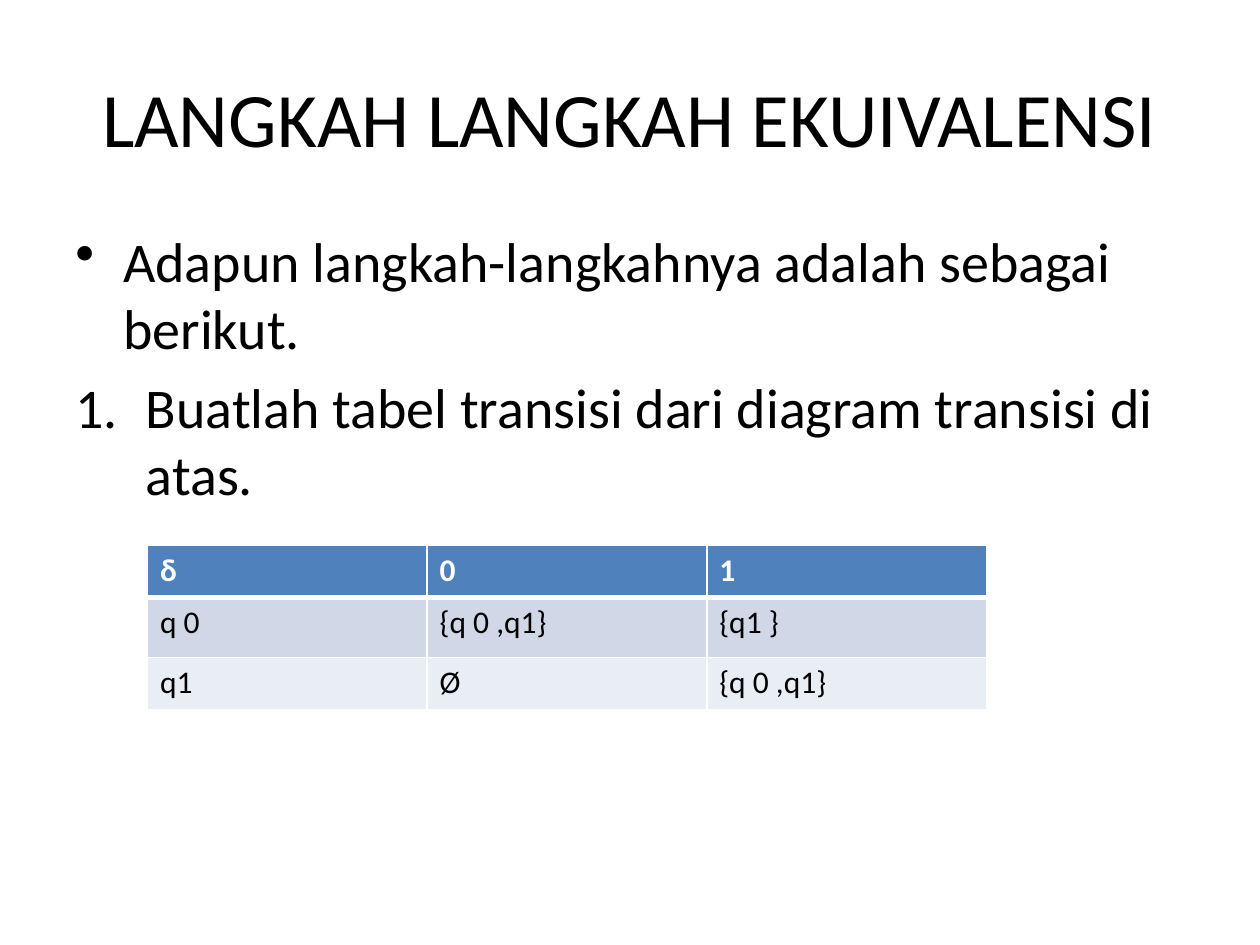
import pptx
import pptx.dml.color
import pptx.enum.text
import pptx.oxml
import pptx.oxml.ns
import pptx.util
from pptx.util import Inches

RGBColor = pptx.dml.color.RGBColor
Anchor = pptx.enum.text.MSO_ANCHOR
Align = pptx.enum.text.PP_ALIGN

BLACK = RGBColor(0x00, 0x00, 0x00)
WHITE = RGBColor(0xFF, 0xFF, 0xFF)
HEADER_BLUE = RGBColor(0x4F, 0x81, 0xBD)
BAND_COLORS = (RGBColor(0xD0, 0xD8, 0xE8), RGBColor(0xE9, 0xED, 0xF4))

FONT = "Calibri"
BULLET = '<a:buChar {ns} char="•"/>'
NUMBER = '<a:buAutoNum {ns} type="arabicPeriod"/>'
NAMESPACE = pptx.oxml.ns.nsdecls("a")

TRANSITIONS = (
    ("δ", "0", "1"),
    ("q 0", "{q 0 ,q1}", "{q1 }"),
    ("q1", "Ø", "{q 0 ,q1}"),
)
ROW_HEIGHTS = (0.41, 0.48, 0.41)
COLUMN_WIDTH = 2.22


def write_text(paragraph, text, size=18, color=BLACK, bold=False, align=Align.LEFT):
    paragraph.alignment = align
    run = paragraph.add_run()
    run.text = text
    run.font.name = FONT
    run.font.size = pptx.util.Pt(size)
    run.font.color.rgb = color
    run.font.bold = bold


def add_text_frame(slide, left, top, width, height, anchor=Anchor.TOP):
    box = slide.shapes.add_textbox(
        Inches(left), Inches(top), Inches(width), Inches(height))
    box.text_frame.word_wrap = True
    box.text_frame.vertical_anchor = anchor
    return box.text_frame


def set_marker(paragraph, marker, indent):
    """Hang a bullet or number to the left of the paragraph."""
    properties = paragraph._p.get_or_add_pPr()
    properties.set("marL", str(Inches(indent)))
    properties.set("indent", str(-Inches(indent)))
    properties.append(pptx.oxml.parse_xml(marker.format(ns=NAMESPACE)))


def add_body(slide):
    frame = add_text_frame(slide, 0.5, 1.75, 9, 4.95)
    items = (
        ("Adapun langkah-langkahnya adalah sebagai berikut.", BULLET, 0.38),
        ("Buatlah tabel transisi dari diagram transisi di atas.", NUMBER, 0.56),
    )
    for index, (text, marker, indent) in enumerate(items):
        paragraph = frame.add_paragraph() if index else frame.paragraphs[0]
        paragraph.space_before = pptx.util.Pt(6.4)
        write_text(paragraph, text, size=32)
        set_marker(paragraph, marker, indent)


def set_borders(cell, top, bottom):
    """Draw white borders; top and bottom are widths in points."""
    properties = cell._tc.get_or_add_tcPr()
    widths = {"lnL": 1, "lnR": 1, "lnT": top, "lnB": bottom}
    for position, (tag, width) in enumerate(widths.items()):
        line = pptx.oxml.parse_xml(
            f'<a:{tag} {NAMESPACE} w="{pptx.util.Pt(width)}"><a:solidFill>'
            f'<a:srgbClr val="{WHITE}"/></a:solidFill></a:{tag}>')
        properties.insert(position, line)


def add_transition_table(slide):
    columns = len(TRANSITIONS[0])
    table = slide.shapes.add_table(
        len(TRANSITIONS), columns, Inches(1.17), Inches(4.33),
        Inches(COLUMN_WIDTH * columns), Inches(sum(ROW_HEIGHTS))).table
    for column in table.columns:
        column.width = Inches(COLUMN_WIDTH)
    for row_index, values in enumerate(TRANSITIONS):
        table.rows[row_index].height = Inches(ROW_HEIGHTS[row_index])
        header = row_index == 0
        fill = HEADER_BLUE if header else BAND_COLORS[(row_index - 1) % 2]
        for column_index, value in enumerate(values):
            cell = table.cell(row_index, column_index)
            cell.fill.solid()
            cell.fill.fore_color.rgb = fill
            set_borders(cell, top=3 if row_index == 1 else 1, bottom=3 if header else 1)
            write_text(cell.text_frame.paragraphs[0], value,
                       color=WHITE if header else BLACK, bold=header)


def main():
    presentation = pptx.Presentation()
    presentation.slide_width = Inches(10)
    presentation.slide_height = Inches(7.5)
    slide = presentation.slides.add_slide(presentation.slide_layouts[6])
    title = add_text_frame(slide, 0.5, 0.3, 9, 1.25, anchor=Anchor.MIDDLE)
    write_text(title.paragraphs[0], "LANGKAH LANGKAH EKUIVALENSI",
               size=44, align=Align.CENTER)
    add_body(slide)
    add_transition_table(slide)
    presentation.save("out.pptx")


if __name__ == "__main__":
    main()
